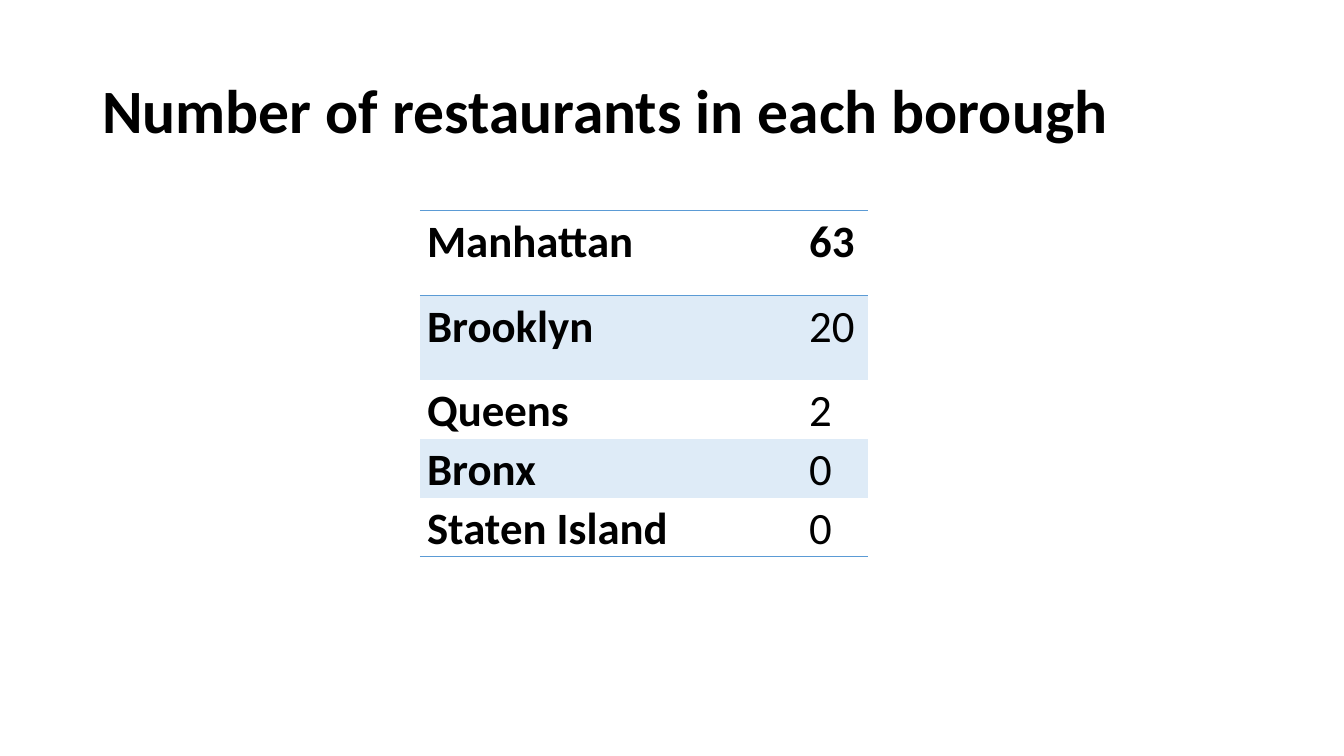
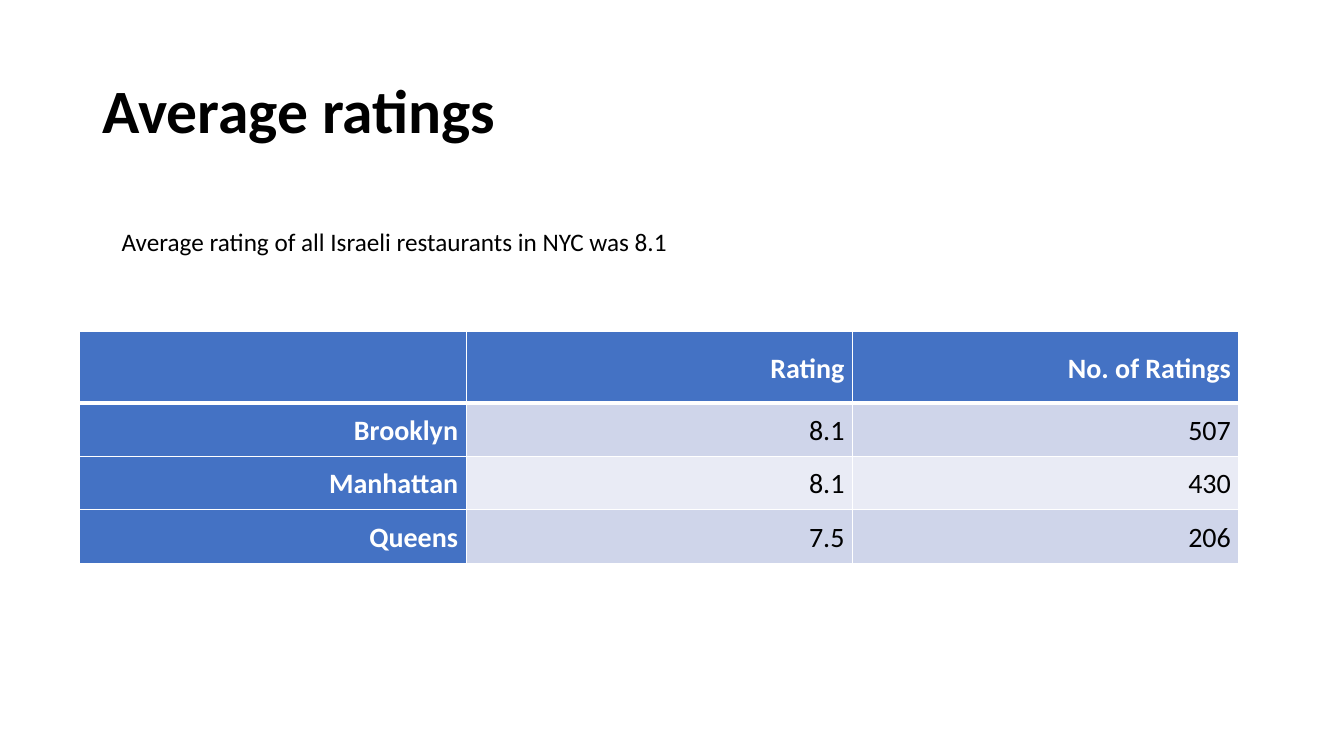
import lxml.etree
import pptx
import pptx.dml.color
import pptx.enum.text
import pptx.oxml.ns
import pptx.util

RGB = pptx.dml.color.RGBColor
ALIGN = pptx.enum.text.PP_ALIGN
ANCHOR = pptx.enum.text.MSO_ANCHOR

BLACK = RGB(0x00, 0x00, 0x00)
WHITE = RGB(0xFF, 0xFF, 0xFF)
SKY = RGB(0x5B, 0x9B, 0xD5)
PALE = RGB(0xDE, 0xEB, 0xF7)
BLUE = RGB(0x44, 0x72, 0xC4)
MIST = RGB(0xCF, 0xD5, 0xEA)
HAZE = RGB(0xE9, 0xEB, 0xF5)

FONT = "Calibri"
COLS, ROWS = 160, 90
PLAIN = "{2D5ABB26-0587-4C30-8999-92F81FD0307C}"


class Deck:
    def __init__(self):
        self.file = pptx.Presentation()
        self.file.slide_width = pptx.util.Inches(13.333)
        self.file.slide_height = pptx.util.Inches(7.5)
        self.slide = None

    def across(self, cols):
        return round(self.file.slide_width * cols / COLS)

    def down(self, rows):
        return round(self.file.slide_height * rows / ROWS)

    def style(self, para, size, color=BLACK, bold=False, space=1.0, align=ALIGN.LEFT):
        font = para.font
        font.name, font.size, font.bold = FONT, pptx.util.Pt(size), bold
        font.color.rgb = color
        para.line_spacing, para.alignment = space, align

    def page(self, title):
        self.slide = self.file.slides.add_slide(self.file.slide_layouts[6])
        self.text(title, 11, 4.8, 138, 17.4, 44, bold=True, space=0.9,
                  anchor=ANCHOR.MIDDLE)

    def text(self, words, left, top, width, height, size, bold=False,
             space=1.0, anchor=ANCHOR.TOP, wrap=True):
        box = self.slide.shapes.add_textbox(
            self.across(left), self.down(top), self.across(width), self.down(height))
        frame = box.text_frame
        frame.word_wrap, frame.vertical_anchor = wrap, anchor
        para = frame.paragraphs[0]
        para.text = words
        self.style(para, size, bold=bold, space=space)

    def table(self, data, left, top, widths, heights, paint):
        shape = self.slide.shapes.add_table(
            len(heights), len(widths), self.across(left), self.down(top),
            self.across(sum(widths)), self.down(sum(heights)))
        grid = shape.table
        shape._element.find(".//" + pptx.oxml.ns.qn("a:tableStyleId")).text = PLAIN
        for col, width in zip(grid.columns, widths):
            col.width = self.across(width)
        for row, height in zip(grid.rows, heights):
            row.height = self.down(height)
        for r, line in enumerate(data):
            for c, words in enumerate(line):
                cell = grid.cell(r, c)
                cell.text = words
                paint(cell, r, c)

    def pad(self, cell, side, ends):
        cell.margin_left = cell.margin_right = pptx.util.Inches(side)
        cell.margin_top = cell.margin_bottom = pptx.util.Inches(ends)

    def edge(self, cell, color, **sides):
        props = cell._tc.get_or_add_tcPr()
        for side in "LRTB":
            if side in sides:
                line = lxml.etree.SubElement(
                    props, pptx.oxml.ns.qn("a:ln" + side),
                    w=str(pptx.util.Pt(sides[side])))
                fill = lxml.etree.SubElement(line, pptx.oxml.ns.qn("a:solidFill"))
                lxml.etree.SubElement(
                    fill, pptx.oxml.ns.qn("a:srgbClr"), val=str(color))

    def fill(self, cell, color):
        cell.fill.solid()
        cell.fill.fore_color.rgb = color

    def light(self, cell, r, c):
        self.pad(cell, 0.07, 0)
        if r == 0:
            self.edge(cell, SKY, T=1, B=1)
        elif r == 4:
            self.edge(cell, SKY, B=1)
        if r % 2:
            self.fill(cell, PALE)
        else:
            cell.fill.background()
        self.style(cell.text_frame.paragraphs[0], 32,
                   bold=r == 0 or c == 0, space=1.07)

    def solid(self, cell, r, c):
        head = r == 0 or c == 0
        self.pad(cell, 0.08, 0.08)
        cell.vertical_anchor = ANCHOR.MIDDLE
        self.edge(cell, WHITE, L=1, R=1, T=3 if r == 1 else 1, B=1 if r else 3)
        self.fill(cell, BLUE if head else MIST if r % 2 else HAZE)
        self.style(cell.text_frame.paragraphs[0], 20, WHITE if head else BLACK,
                   head, 1.07, ALIGN.RIGHT)


def main():
    deck = Deck()

    deck.page("Number of restaurants in each borough")
    counts = [("Manhattan", "63"), ("Brooklyn", "20"), ("Queens", "2"),
              ("Bronx", "0"), ("Staten Island", "0")]
    deck.table(counts, 50, 25.1, [45.5, 7.8], [10.1] * 2 + [7] * 3, deck.light)

    deck.page("Average ratings")
    scores = [("", "Rating", "No. of Ratings"), ("Brooklyn", "8.1", "507"),
              ("Manhattan", "8.1", "430"), ("Queens", "7.5", "206")]
    deck.table(scores, 9.5, 39.5, [46] * 3, [8.5] + [6.35] * 3, deck.solid)
    deck.text("Average rating of all Israeli restaurants in NYC was 8.1",
              13.3, 26.4, 68, 4.8, 18, wrap=False)

    deck.file.save("out.pptx")


if __name__ == "__main__":
    main()
